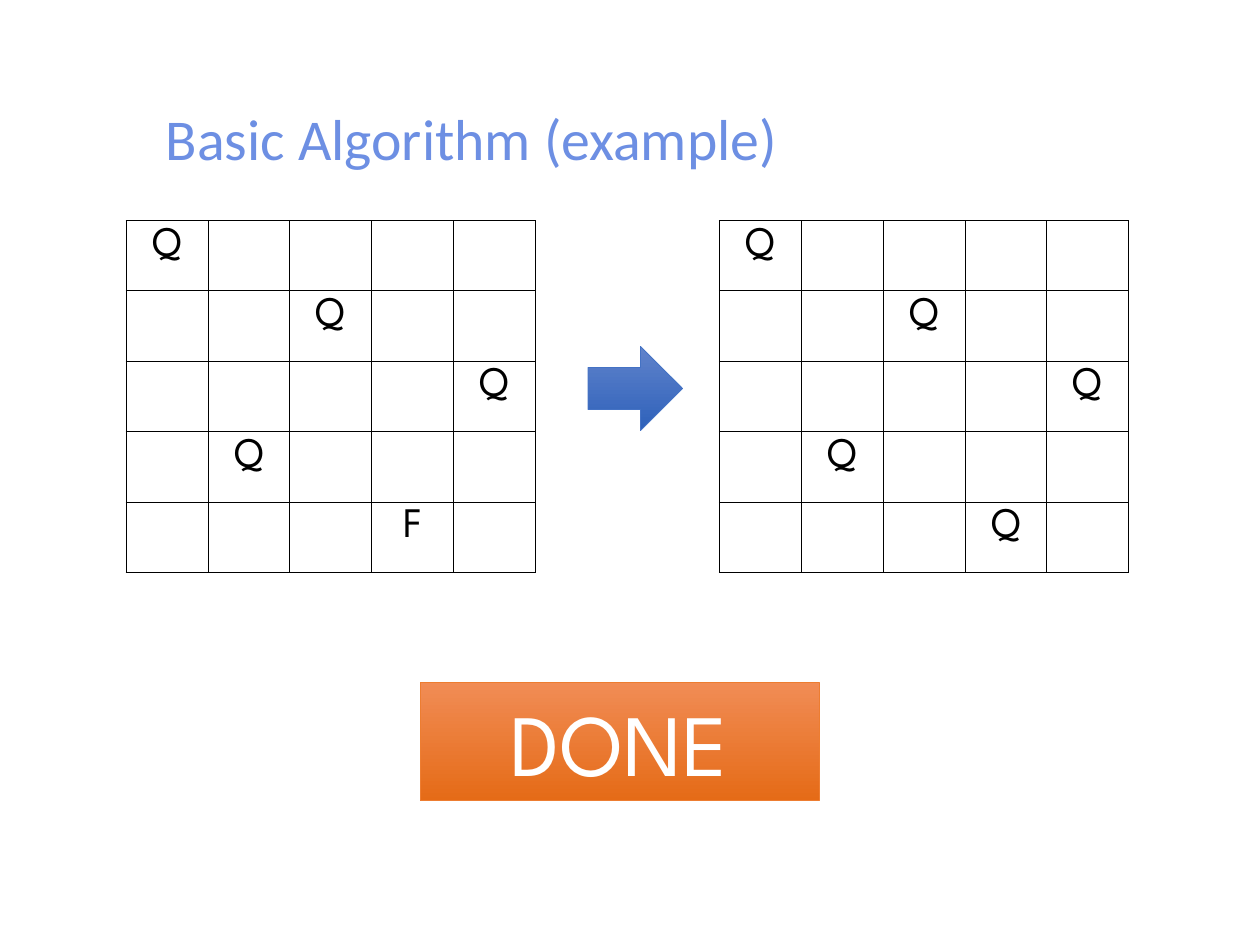
import pptx
import pptx.util
import pptx.dml.color
import pptx.enum.shapes
import pptx.enum.text
import pptx.oxml
import pptx.oxml.ns

RGBColor = pptx.dml.color.RGBColor
TITLE_BLUE = RGBColor(0x6D, 0x8F, 0xE3)
BLACK = RGBColor(0x00, 0x00, 0x00)
WHITE = RGBColor(0xFF, 0xFF, 0xFF)
ORANGE = RGBColor(0xED, 0x7D, 0x31)
ORANGE_TOP = RGBColor(0xF1, 0x8C, 0x55)
ORANGE_BOTTOM = RGBColor(0xE5, 0x6B, 0x17)
BLUE = RGBColor(0x44, 0x72, 0xC4)
BLUE_TOP = RGBColor(0x60, 0x83, 0xCB)
BLUE_BOTTOM = RGBColor(0x2E, 0x61, 0xBA)

BOARD_SIZE = 5
SOLVED_QUEENS = [0, 2, 4, 1, 3]


class QueensSlide:
    GRID_COLUMNS = 120
    GRID_ROWS = 90
    TITLE_FONT = "Calibri"
    BODY_FONT = "League Spartan"

    def __init__(self, deck):
        self.column = deck.slide_width / self.GRID_COLUMNS
        self.row = deck.slide_height / self.GRID_ROWS
        self.slide = deck.slides.add_slide(deck.slide_layouts[5])

    def box(self, left, top, width, height):
        return (round(left * self.column), round(top * self.row),
                round(width * self.column), round(height * self.row))

    def label(self, frame, text, font, size, color, align):
        frame.text = text
        paragraph = frame.paragraphs[0]
        paragraph.alignment = align
        style = paragraph.runs[0].font
        style.name = font
        style.size = pptx.util.Pt(size)
        style.color.rgb = color
        return paragraph

    def title(self, text, *place):
        heading = self.slide.shapes.title
        heading.left, heading.top, heading.width, heading.height = self.box(*place)
        heading.text_frame.vertical_anchor = pptx.enum.text.MSO_ANCHOR.MIDDLE
        paragraph = self.label(heading.text_frame, text, self.TITLE_FONT, 33,
                               TITLE_BLUE, pptx.enum.text.PP_ALIGN.LEFT)
        paragraph.line_spacing = 0.9
        indent = pptx.util.Inches(0.53)
        paragraph._p.get_or_add_pPr().set("marL", str(indent))

    def border(self, cell):
        properties = cell._tc.get_or_add_tcPr()
        for position, side in enumerate(("lnL", "lnR", "lnT", "lnB")):
            properties.insert(position, pptx.oxml.parse_xml(
                f'<a:{side} {pptx.oxml.ns.nsdecls("a")} w="{pptx.util.Pt(0.45)}">'
                f'<a:solidFill><a:srgbClr val="{BLACK}"/></a:solidFill></a:{side}>'))

    def board(self, pieces, queens, *place):
        frame = self.slide.shapes.add_table(BOARD_SIZE, BOARD_SIZE, *self.box(*place))
        board = frame.table
        board.first_row = board.horz_banding = False
        for cell in board.iter_cells():
            cell.fill.background()
            self.border(cell)
        for rank, (piece, file) in enumerate(zip(pieces, queens)):
            self.label(board.cell(rank, file).text_frame, piece, self.BODY_FONT,
                       24, BLACK, pptx.enum.text.PP_ALIGN.CENTER)

    def block(self, kind, top_color, bottom_color, line_color, *place):
        block = self.slide.shapes.add_shape(kind, *self.box(*place))
        block.shadow.inherit = False
        block.fill.gradient()
        block.fill.gradient_angle = 270
        stops = zip(block.fill.gradient_stops, (top_color, bottom_color), (0, 1))
        for stop, color, position in stops:
            stop.color.rgb = color
            stop.position = position
        block.line.color.rgb = line_color
        block.line.width = pptx.util.Pt(0.5)
        return block

    def banner(self, text, *place):
        banner = self.block(pptx.enum.shapes.MSO_SHAPE.RECTANGLE,
                            ORANGE_TOP, ORANGE_BOTTOM, ORANGE, *place)
        banner.text_frame.auto_size = pptx.enum.text.MSO_AUTO_SIZE.SHAPE_TO_FIT_TEXT
        self.label(banner.text_frame, text, self.BODY_FONT, 50, WHITE,
                   pptx.enum.text.PP_ALIGN.CENTER)

    def arrow(self, *place):
        self.block(pptx.enum.shapes.MSO_SHAPE.RIGHT_ARROW,
                   BLUE_TOP, BLUE_BOTTOM, BLUE, *place)


def main():
    deck = pptx.Presentation()
    deck.slide_width = pptx.util.Inches(10)
    deck.slide_height = pptx.util.Inches(7.5)
    example = QueensSlide(deck)
    example.title("Basic Algorithm (example)", 8.25, 4.8, 103.5, 17.4)
    for pieces, left in (("QQQQF", 12), ("QQQQQ", 68.5)):
        example.board(pieces, SOLVED_QUEENS, left, 21, 39, 33.5)
    example.banner("DONE", 40, 65, 38, 11.25)
    example.arrow(56, 33, 9, 8)
    deck.save("out.pptx")


if __name__ == "__main__":
    main()
